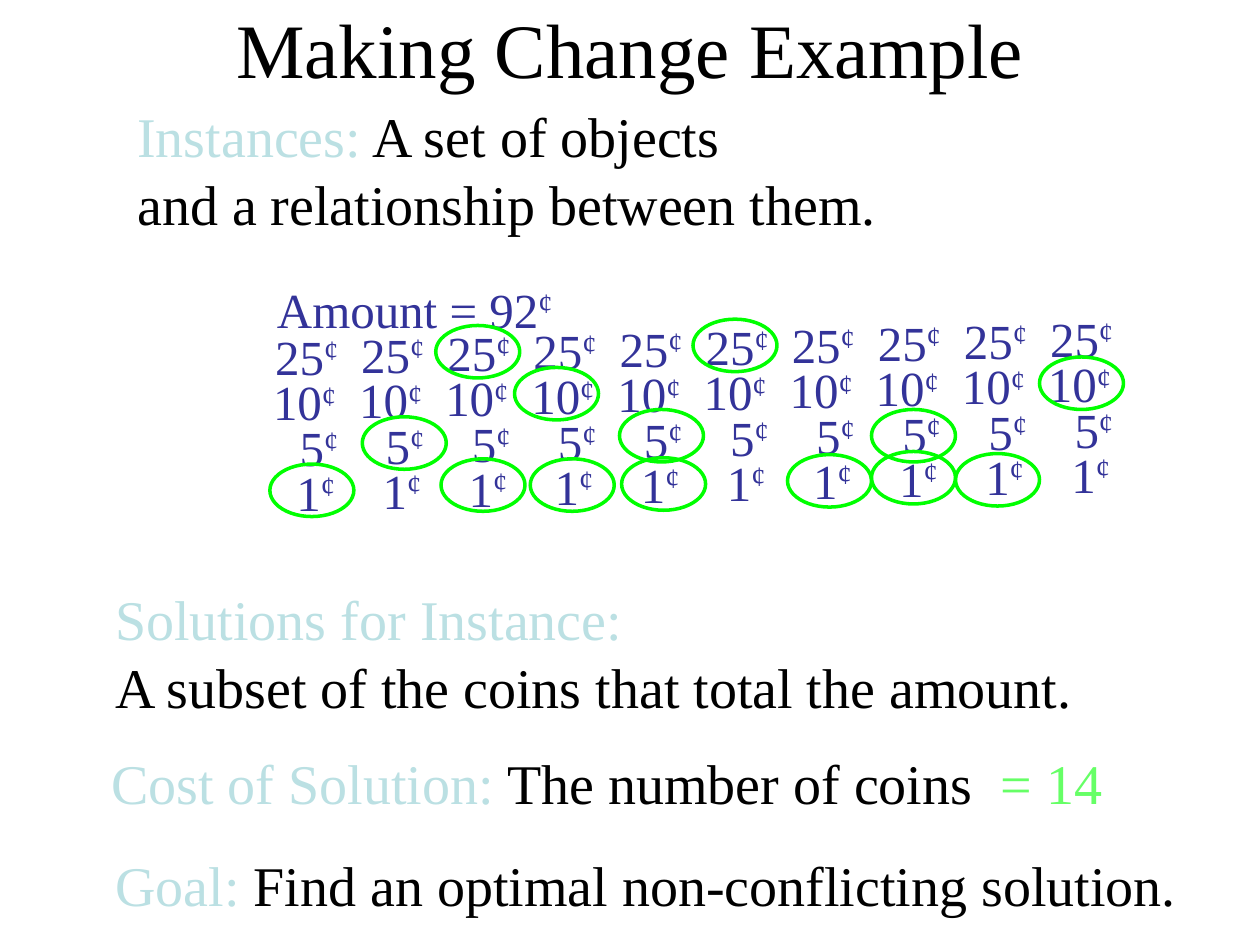
import pptx
import pptx.dml.color
import pptx.enum.shapes
import pptx.enum.text
import pptx.util

RGBColor = pptx.dml.color.RGBColor
PALE_TEAL = RGBColor(0xBB, 0xE0, 0xE3)
BLACK = RGBColor(0, 0, 0)
INDIGO = RGBColor(0x33, 0x33, 0x99)
LIGHT_GREEN = RGBColor(0x66, 0xFF, 0x66)
RING_GREEN = RGBColor(0, 0xFF, 0)

FONT = "Times New Roman"
UNIT = pptx.util.Inches(1) / 12
LINE_HEIGHT = 1.21
ALIGN = pptx.enum.text.PP_ALIGN
ANCHOR = pptx.enum.text.MSO_ANCHOR
AUTO_SIZE = pptx.enum.text.MSO_AUTO_SIZE

COIN_COUNT = 10
COLUMN_STEP = 8.2
COLUMN_RISE = 0.19
ROW_STEP = 4.32
FIRST_ROW = 30.45
COINS = [("25", 25, 8.4), ("10", 23.6, 9.6), ("5", 26.2, 7.2), ("1", 25.9, 7.2)]

RING_SIZE = (8, 5)
RINGS = [
    (41.5, 31), (49, 35), (42, 43.7), (59.2, 43.6), (75, 43.3),
    (91, 43.2), (83, 43), (50.5, 43.7), (25.7, 44.2), (34.5, 39.7),
    (59, 39), (66, 30.4), (99, 34), (83, 39),
]


def grid(*lengths):
    return [round(length * UNIT) for length in lengths]


def set_attributes(target, values):
    for name, value in values.items():
        setattr(target, name, value)


def add_run(paragraph, text, size, color):
    run = paragraph.add_run()
    run.text = text
    set_attributes(run.font, {"name": FONT, "size": pptx.util.Pt(size)})
    run.font.color.rgb = color
    return run


def add_text(slide, place, runs, size=32, align=ALIGN.LEFT, indent=0, **frame_format):
    shape = slide.shapes.add_textbox(*grid(*place))
    frame = shape.text_frame
    defaults = {"word_wrap": False, "auto_size": AUTO_SIZE.SHAPE_TO_FIT_TEXT}
    set_attributes(frame, {**defaults, **frame_format})
    paragraph = frame.paragraphs[0]
    set_attributes(paragraph, {
        "alignment": align,
        "line_spacing": pptx.util.Pt(size * LINE_HEIGHT),
    })
    if indent:
        paragraph._p.get_or_add_pPr().set("marL", str(grid(indent)[0]))
    for text, color in runs:
        for index, line in enumerate(text.split("\n")):
            if index:
                paragraph.add_line_break()
            if line:
                add_run(paragraph, line, size, color)
    return paragraph


def add_cents(slide, place, amount, align=ALIGN.LEFT):
    paragraph = add_text(slide, place, [(amount, INDIGO)], 28, align)
    cent = add_run(paragraph, "¢", 28, INDIGO)
    cent.font._element.set("baseline", "30000")


def add_coins(slide):
    for row, (value, left, width) in enumerate(COINS):
        for column in range(COIN_COUNT):
            top = FIRST_ROW + row * ROW_STEP - column * COLUMN_RISE
            place = (left + column * COLUMN_STEP, top, width, 6.8)
            add_cents(slide, place, value, ALIGN.RIGHT)


def add_ring(slide, position):
    shape = slide.shapes.add_shape(
        pptx.enum.shapes.MSO_SHAPE.OVAL, *grid(*position, *RING_SIZE))
    shape.shadow.inherit = False
    shape.fill.background()
    shape.line.color.rgb = RING_GREEN
    shape.line.width = pptx.util.Pt(2)


def main():
    presentation = pptx.Presentation()
    set_attributes(presentation, dict(zip(("slide_width", "slide_height"), grid(120, 90))))
    slide = presentation.slides.add_slide(presentation.slide_layouts[6])

    add_text(slide, (11.9, 9, 74.2, 14), [
        ("Instances:", PALE_TEAL),
        (" A set of objects \nand a relationship between them.", BLACK)])
    add_coins(slide)
    add_cents(slide, (25.2, 26, 28.6, 6.8), "Amount = 92")
    add_text(slide, (3.8, 55, 99.8, 14), [
        ("Solutions for Instance: \n", PALE_TEAL),
        ("A subset of the coins that total the amount.", BLACK)], indent=6)
    for position in RINGS:
        add_ring(slide, position)
    add_text(slide, (9.4, 70.6, 112, 7.7), [
        ("Cost of Solution:", PALE_TEAL),
        (" The number of coins  ", BLACK),
        ("= 14", LIGHT_GREEN)], word_wrap=True)
    add_text(slide, (9, -3, 102, 15), [("Making Change Example", BLACK)], 44,
             ALIGN.CENTER, word_wrap=True, auto_size=AUTO_SIZE.NONE,
             vertical_anchor=ANCHOR.MIDDLE)
    add_text(slide, (3.8, 80.4, 109.6, 7.7), [
        ("Goal:", PALE_TEAL),
        (" Find an optimal non-conflicting solution.", BLACK)], indent=6)

    presentation.save("out.pptx")


if __name__ == "__main__":
    main()
